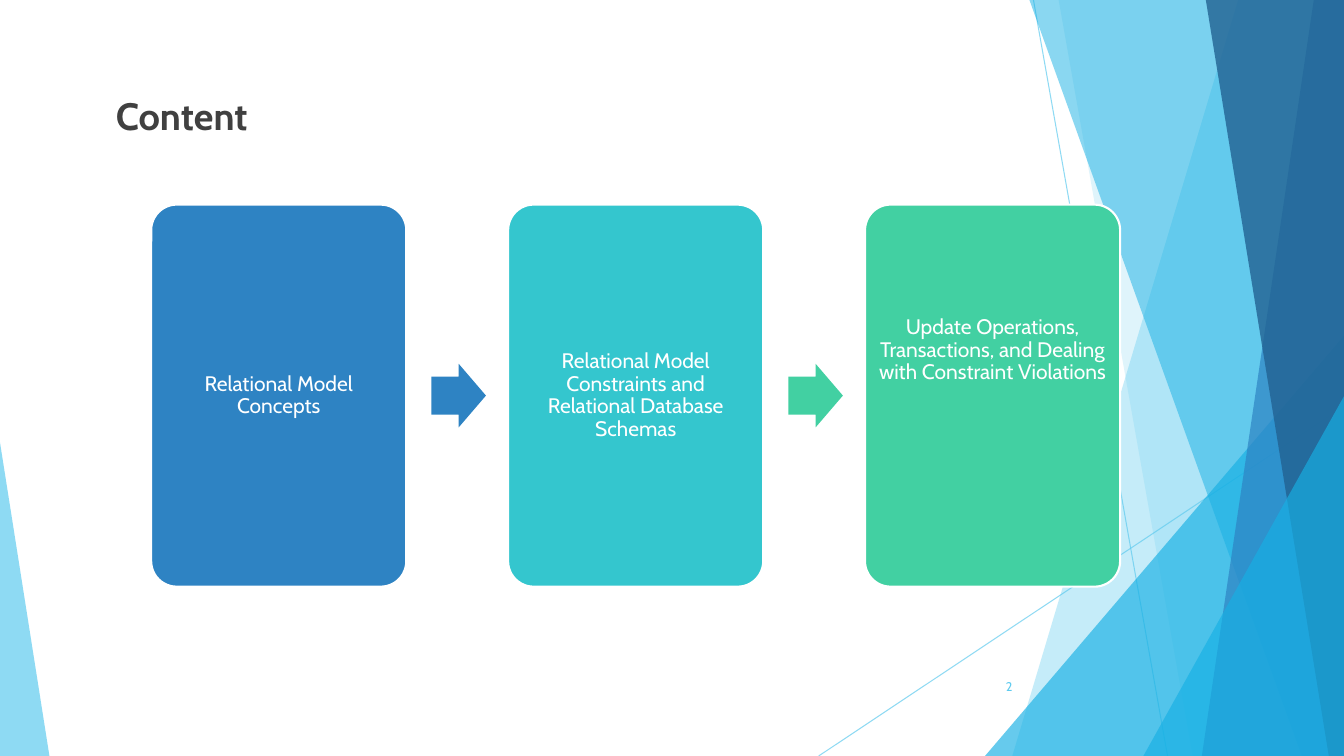
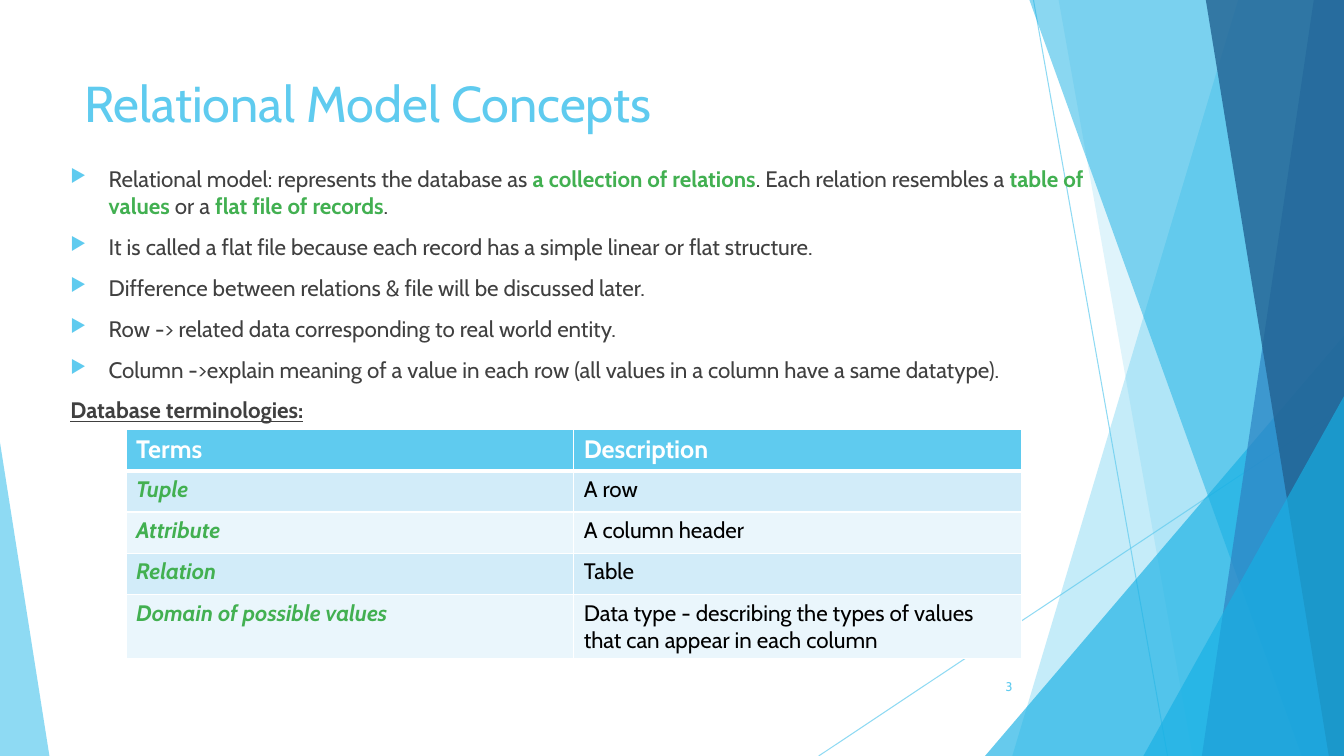
"""Builds two slides on relational model concepts."""
from lxml.etree import SubElement
from pptx import Presentation
from pptx.dml.color import RGBColor
from pptx.enum.shapes import MSO_CONNECTOR as Connector, MSO_SHAPE as Preset
from pptx.enum.text import MSO_ANCHOR as Anchor, PP_ALIGN as Align
from pptx.oxml.ns import qn
from pptx.util import Pt

PX = 9144
WIDTH, HEIGHT = 1333, 750
FONT = "Cabin"

WHITE = RGBColor(0xFF, 0xFF, 0xFF)
BLACK = RGBColor(0x00, 0x00, 0x00)
GRAY = RGBColor(0x40, 0x40, 0x40)
SKY = RGBColor(0x5F, 0xCB, 0xEF)
CYAN = RGBColor(0x17, 0xB0, 0xE4)
BLUE = RGBColor(0x2E, 0x83, 0xC3)
NAVY = RGBColor(0x22, 0x62, 0x92)
TEAL = RGBColor(0x34, 0xC6, 0xCE)
MINT = RGBColor(0x42, 0xD0, 0xA2)
GREEN = RGBColor(0x42, 0xB0, 0x51)
PALE = RGBColor(0xD2, 0xEC, 0xF9)
PALER = RGBColor(0xEA, 0xF6, 0xFC)


class SlideWriter:
    def __init__(self, deck):
        self.deck = deck
        self.slide = None

    def new_slide(self, number):
        self.slide = self.deck.slides.add_slide(self.deck.slide_layouts[6])
        self.backdrop()
        frame = self.text_box(939, 661, 75, 40)
        frame.vertical_anchor = Anchor.MIDDLE
        para = frame.paragraphs[0]
        para.alignment = Align.RIGHT
        self.span(para, str(number), 9, SKY)

    def backdrop(self):
        self.line(1025, 0, 1158, HEIGHT)
        self.line(WIDTH, 403, 812, HEIGHT)
        self.band(1228, 1004, SKY, 36)
        self.band(1050, 1183, SKY, 20)
        self.triangle(977, 333, 356, 1, CYAN, 66)
        self.band(1021, 1291, CYAN, 50)
        self.band(1303, 1192, BLUE, 70)
        self.band(1196, 1318, NAVY, 80)
        self.triangle(1134, 393, 199, 1, CYAN, 66)
        self.triangle(0, 439, 49, 0, SKY, 70)

    def fade(self, shape, opacity):
        for color in shape.element.iter(qn("a:srgbClr")):
            SubElement(color, qn("a:alpha")).set("val", str(opacity * 1000))

    def paint(self, shape, color):
        shape.shadow.inherit = False
        shape.fill.solid()
        shape.fill.fore_color.rgb = color
        shape.line.fill.background()

    def line(self, *ends):
        line = self.slide.shapes.add_connector(
            Connector.STRAIGHT, *(end * PX for end in ends))
        line.line.color.rgb = SKY
        line.line.width = Pt(0.75)
        SubElement(line.element.spPr, qn("a:effectLst"))
        self.fade(line, 70)

    def band(self, top_x, bottom_x, color, opacity):
        outline = self.slide.shapes.build_freeform(top_x, 0, PX)
        outline.add_line_segments(
            [(WIDTH, 0), (WIDTH, HEIGHT), (bottom_x, HEIGHT)])
        band = outline.convert_to_shape()
        self.paint(band, color)
        self.fade(band, opacity)

    def shape(self, preset, left, top, width, height, color):
        shape = self.slide.shapes.add_shape(
            preset, left * PX, top * PX, width * PX, height * PX)
        self.paint(shape, color)
        return shape

    def triangle(self, left, top, width, apex, color, opacity):
        triangle = self.shape(Preset.ISOSCELES_TRIANGLE, left, top, width,
                              HEIGHT - top, color)
        triangle.adjustments[0] = apex
        self.fade(triangle, opacity)

    def text_box(self, left, top, width, height):
        box = self.slide.shapes.add_textbox(
            left * PX, top * PX, width * PX, height * PX)
        box.text_frame.word_wrap = True
        return box.text_frame

    def span(self, para, text, size, color, bold=False, italic=False,
             underline=False):
        span = para.add_run()
        span.text = text
        font = span.font
        font.name, font.size, font.color.rgb = FONT, Pt(size), color
        font.bold, font.italic, font.underline = bold, italic, underline

    def title(self, text, left, top, size, color, bold=False):
        frame = self.text_box(left, top, 940, 60)
        self.span(frame.paragraphs[0], text, size, color, bold)

    def card(self, left, text, color, lift=0):
        card = self.shape(Preset.ROUNDED_RECTANGLE, left, 203, 253, 379, color)
        card.adjustments[0] = 0.1
        card.line.color.rgb = WHITE
        card.line.width = Pt(1.5)
        frame = card.text_frame
        frame.word_wrap = True
        frame.vertical_anchor = Anchor.MIDDLE
        frame.margin_left = frame.margin_right = frame.margin_top = 5 * PX
        frame.margin_bottom = (5 + 2 * lift) * PX
        para = frame.paragraphs[0]
        para.alignment = Align.CENTER
        para.line_spacing = 0.9
        self.span(para, text, 15, WHITE)

    def arrow(self, left, color):
        arrow = self.shape(Preset.RIGHT_ARROW, left, 361, 54, 63, color)
        arrow.adjustments[0] = 0.6

    def bullet(self, para):
        props = para._p.get_or_add_pPr()
        props.set("marL", str(38 * PX))
        props.set("indent", str(-38 * PX))
        color = SubElement(props, qn("a:buClr"))
        SubElement(color, qn("a:srgbClr")).set("val", str(SKY))
        SubElement(props, qn("a:buSzPct")).set("val", "80000")
        SubElement(props, qn("a:buChar")).set("char", "▶")

    def body(self, points, heading):
        frame = self.text_box(60, 159, 1038, 268)
        for index, point in enumerate(points):
            para = frame.paragraphs[0] if index == 0 else frame.add_paragraph()
            para.space_before = Pt(10)
            self.bullet(para)
            for text, strong in point:
                self.span(para, text, 16, GREEN if strong else GRAY, strong)
        para = frame.add_paragraph()
        para.space_before = Pt(10)
        self.span(para, heading, 16, GRAY, bold=True, underline=True)

    def borders(self, cell, bottom):
        props = cell._tc.get_or_add_tcPr()
        for side, points in (("L", 1), ("R", 1), ("T", 1), ("B", bottom)):
            edge = SubElement(props, qn(f"a:ln{side}"), w=str(Pt(points)))
            fill = SubElement(edge, qn("a:solidFill"))
            SubElement(fill, qn("a:srgbClr")).set("val", str(WHITE))

    def table(self, rows, left, top, column_width, heights):
        table = self.slide.shapes.add_table(
            len(rows), 2, left * PX, top * PX,
            2 * column_width * PX, sum(heights) * PX).table
        table.horz_banding = False
        for column in table.columns:
            column.width = column_width * PX
        for row_index, texts in enumerate(rows):
            table.rows[row_index].height = heights[row_index] * PX
            header = row_index == 0
            back = SKY if header else PALE if row_index % 2 else PALER
            for column_index, text in enumerate(texts):
                cell = table.cell(row_index, column_index)
                self.borders(cell, 3 if header else 1)
                cell.fill.solid()
                cell.fill.fore_color.rgb = back
                para = cell.text_frame.paragraphs[0]
                if header:
                    self.span(para, text, 18, WHITE, bold=True)
                elif column_index == 0:
                    self.span(para, text, 16, GREEN, bold=True, italic=True)
                else:
                    self.span(para, text, 16, BLACK)


def content_slide(writer):
    writer.new_slide(2)
    first, pitch, arrow_offset = 150, 354, 278
    writer.card(first, "Relational Model Concepts", BLUE)
    writer.arrow(first + arrow_offset, BLUE)
    writer.card(first + pitch, "Relational Model Constraints and "
                "Relational Database Schemas", TEAL)
    writer.arrow(first + pitch + arrow_offset, MINT)
    writer.card(first + 2 * pitch, "Update Operations, Transactions, and "
                "Dealing with Constraint Violations", MINT, lift=45)
    writer.title("Content", 105, 87, 27.2, GRAY, bold=True)


def concepts_slide(writer):
    writer.new_slide(3)
    writer.title("Relational Model Concepts", 74, 67, 36, SKY)
    writer.body([
        [("Relational model: represents the database as ", False),
         ("a collection of relations", True),
         (". Each relation resembles a ", False),
         ("table of values ", True),
         ("or a ", False),
         ("flat file of records", True),
         (".", False)],
        [("It is called a flat file because each record has a simple linear "
          "or flat structure.", False)],
        [("Difference between relations & file will be discussed later.",
          False)],
        [("Row -> related data corresponding to real world entity.", False)],
        [("Column ->explain meaning of a value in each row (all values in a "
          "column have a same datatype).", False)],
    ], "Database terminologies:")
    writer.table([
        ("Terms", "Description"),
        ("Tuple", "A row"),
        ("Attribute", "A column header"),
        ("Relation", "Table"),
        ("Domain of possible values", "Data type - describing the types of "
         "values that can appear in each column"),
    ], 125, 426, 444, [41, 41, 41, 41, 62])


def main():
    deck = Presentation()
    deck.slide_width, deck.slide_height = WIDTH * PX, HEIGHT * PX
    writer = SlideWriter(deck)
    content_slide(writer)
    concepts_slide(writer)
    deck.save("out.pptx")


if __name__ == "__main__":
    main()
